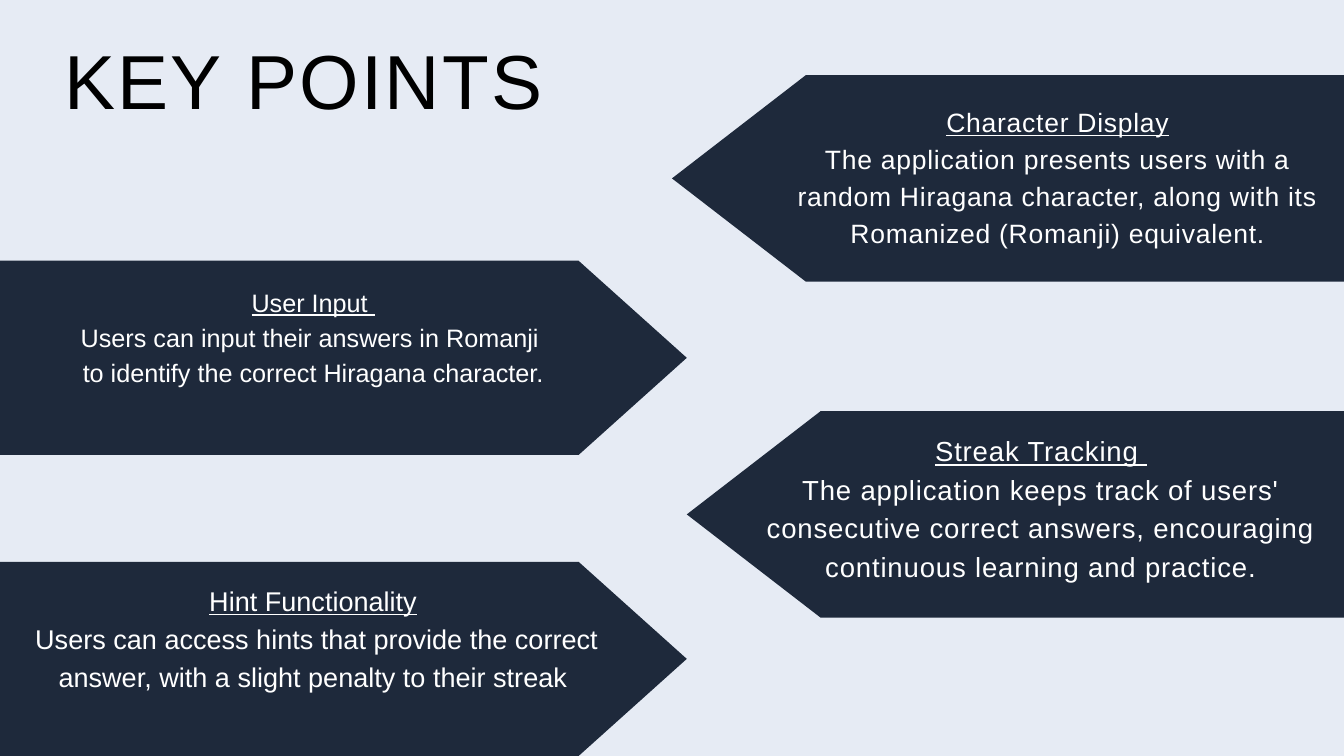
from pptx import Presentation
from pptx.dml.color import RGBColor
from pptx.enum.text import MSO_ANCHOR, PP_ALIGN
from pptx.util import Inches, Pt

COLS, ROWS = 20, 11.25
COLORS = {"bg": "E6EBF4", "arrow": "1E293B", "title": "000000", "body": "FFFFFF"}
FONT = "Arial"
LEADING = 1.4

RIGHT_ARROWS = [
    ((0, 3.88, 10.22, 2.89), (0, 3.2, 9.32, 3.57), 27,
     ["User Input ", "Users can input their answers in Romanji ",
      "to identify the correct Hiragana character."]),
    ((0, 8.36, 10.22, 2.89), (0, 7.68, 9.32, 3.57), 29,
     ["Hint Functionality",
      " Users can access hints that provide the correct answer, "
      "with a slight penalty to their streak"]),
]
LEFT_ARROWS = [
    ((10, 1.12, 10, 3.07), (11.7, 1.5, 8.08, 2.2), 28.4, 0.8,
     ["Character Display",
      "The application presents users with a random Hiragana character, "
      "along with its Romanized (Romanji) equivalent."]),
    ((10.22, 6.12, 9.78, 3.07), (10.98, 6.38, 9.02, 2.28), 29.5, 0.9,
     ["Streak Tracking ",
      "The application keeps track of users' consecutive correct answers, "
      "encouraging continuous learning and practice."]),
]


def rgb(name):
    """Return a palette colour."""
    return RGBColor.from_string(COLORS[name])


def add_arrow(s, box, tip, to_left=False):
    """Draw a five-sided arrow filling the box, with a tip of the given length."""
    x, y, w, h = box
    back, neck, point = (x + w, x + tip, x) if to_left else (x, x + w - tip, x + w)
    pts = [(neck, y), (back, y), (back, y + h), (neck, y + h), (point, y + h / 2)]
    pts = [(Inches(px), Inches(py)) for px, py in pts]
    builder = s.shapes.build_freeform(*pts[0])
    builder.add_line_segments(pts[1:], close=True)
    sp = builder.convert_to_shape()
    sp.fill.solid()
    sp.fill.fore_color.rgb = rgb("arrow")
    sp.line.fill.background()
    sp.shadow.inherit = False


def add_text(s, box, lines, size, color="body", spacing=0, inset=0,
             anchor=MSO_ANCHOR.TOP, heading=True):
    """Write centred paragraphs in the box, underlining the heading."""
    tf = s.shapes.add_textbox(*map(Inches, box)).text_frame
    tf.word_wrap = True
    tf.vertical_anchor = anchor
    tf.margin_left = tf.margin_right = Inches(inset)
    tf.margin_top = tf.margin_bottom = Inches(inset)
    for i, line in enumerate(lines):
        p = tf.paragraphs[0] if i == 0 else tf.add_paragraph()
        p.text = line
        p.alignment = PP_ALIGN.CENTER
        p.line_spacing = Pt(size * LEADING)
        p.font.name = FONT
        p.font.size = Pt(size)
        p.font.color.rgb = rgb(color)
        p.font.underline = heading and i == 0
        if spacing:
            p.runs[0].font._element.set("spc", str(round(spacing * 100)))


def add_right_arrow(s, box, text_box, size, lines):
    """Place a point whose arrow enters from the left edge."""
    add_arrow(s, box, 1.61)
    add_text(s, text_box, lines, size, inset=0.06, anchor=MSO_ANCHOR.MIDDLE)


def add_left_arrow(s, box, text_box, size, spacing, lines):
    """Place a point whose arrow enters from the right edge."""
    add_arrow(s, box, 1.99, to_left=True)
    add_text(s, text_box, lines, size, spacing=spacing)


def main():
    """Build the key points slide."""
    prs = Presentation()
    prs.slide_width, prs.slide_height = Inches(COLS), Inches(ROWS)
    s = prs.slides.add_slide(prs.slide_layouts[6])
    s.background.fill.solid()
    s.background.fill.fore_color.rgb = rgb("bg")
    for point in RIGHT_ARROWS:
        add_right_arrow(s, *point)
    for point in LEFT_ARROWS:
        add_left_arrow(s, *point)
    add_text(s, (0.56, 0.26, 7.92, 1.54), ["KEY POINTS"], 82, "title",
             spacing=2.5, heading=False)
    prs.save("out.pptx")


if __name__ == "__main__":
    main()
